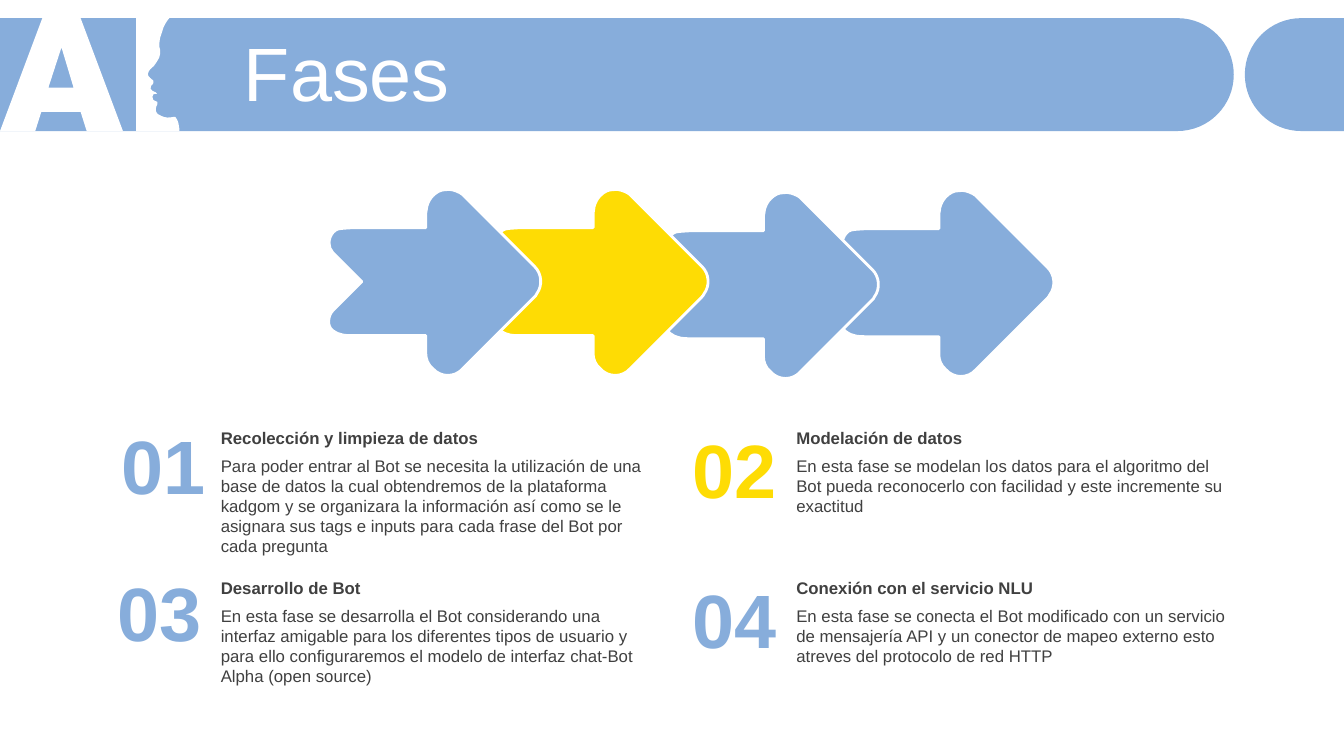
from math import cos, pi, sin

from lxml.etree import SubElement
from pptx import Presentation
from pptx.dml.color import RGBColor
from pptx.enum.text import MSO_ANCHOR, MSO_AUTO_SIZE, PP_ALIGN
from pptx.oxml.ns import qn
from pptx.util import Inches, Pt

BLUE, YELLOW, WHITE, GREY = "87ADDB", "FEDC04", "FFFFFF", "404040"


def draw_outline(contours, fill):
    """Draw closed contours: pairs are corners, sixes are Bezier curves."""
    builder = None
    for contour in contours:
        points = [(Inches(step[n]), Inches(step[n + 1]))
                  for step in contour for n in range(0, len(step), 2)]
        if builder is None:
            builder = page.shapes.build_freeform(*points[0])
        else:
            builder.move_to(*points[0])
        builder.add_line_segments(points[1:], close=True)
    shape = builder.convert_to_shape()
    # Join each run of three curve points into one Bezier segment
    segments = iter(list(shape._element.iter(qn("a:lnTo"))))
    for step in [step for contour in contours for step in contour[1:]]:
        first = next(segments)
        if len(step) == 6:
            curve = SubElement(first.getparent(), qn("a:cubicBezTo"))
            first.addprevious(curve)
            for segment in (first, next(segments), next(segments)):
                curve.append(segment[0])
                segment.getparent().remove(segment)
    shape.shadow.inherit = False
    shape.fill.solid()
    shape.fill.fore_color.rgb = RGBColor.from_string(fill)
    shape.line.fill.background()
    return shape


def write(box, text, size, color, bold=False, align=PP_ALIGN.LEFT,
          anchor=MSO_ANCHOR.MIDDLE, margins=(0, 0.05, 0.1, 0.05)):
    frame = box.text_frame
    frame.word_wrap = True
    frame.auto_size = MSO_AUTO_SIZE.NONE
    frame.vertical_anchor = anchor
    frame.margin_left, frame.margin_top, frame.margin_right, frame.margin_bottom = map(Inches, margins)
    para = frame.paragraphs[0]
    para.alignment = align
    span = para.add_run()
    span.text = text
    span.font.name = "Arial"
    span.font.size = Pt(size)
    span.font.bold = bold
    span.font.color.rgb = RGBColor.from_string(color)
    return para


deck = Presentation()
deck.slide_width, deck.slide_height = Inches(40 / 3), Inches(7.5)
page = deck.slides.add_slide(deck.slide_layouts[5])

# Header band
draw_outline([[(0, 0.18), (11.68, 0.18), (11.99, 0.18, 12.24, 0.43, 12.24, 0.74),
               (12.24, 1.05, 11.99, 1.3, 11.68, 1.3), (0, 1.3)]], BLUE)

# Letter A with its counter, and a profile in place of the I
letter = [(0.42, 0.18), (0.8, 0.18), (1.22, 1.3), (0.86, 1.3), (0.8, 1.11),
          (0.41, 1.11), (0.35, 1.3), (0, 1.3)]
counter = [(0.61, 0.47), (0.48, 0.87), (0.73, 0.87)]
profile = [
    (1.35, 0.18), (1.68, 0.18), (1.66, 0.2, 1.62, 0.26, 1.61, 0.31), (1.59, 0.37),
    (1.58, 0.42, 1.58, 0.45, 1.58, 0.46), (1.59, 0.48, 1.59, 0.51, 1.59, 0.53), (1.58, 0.57),
    (1.57, 0.59, 1.53, 0.66, 1.51, 0.67), (1.48, 0.69, 1.46, 0.73, 1.47, 0.75),
    (1.48, 0.77, 1.5, 0.78, 1.51, 0.79), (1.52, 0.79, 1.53, 0.81, 1.52, 0.83),
    (1.52, 0.84, 1.5, 0.84, 1.5, 0.85), (1.49, 0.87, 1.49, 0.89, 1.51, 0.9),
    (1.53, 0.91, 1.56, 0.92, 1.56, 0.93), (1.56, 0.93, 1.52, 0.93, 1.52, 0.94),
    (1.51, 0.95, 1.51, 0.97, 1.52, 0.99), (1.52, 1, 1.55, 1, 1.56, 1.01),
    (1.57, 1.03, 1.56, 1.03, 1.55, 1.06), (1.54, 1.09, 1.54, 1.13, 1.6, 1.15),
    (1.64, 1.17, 1.68, 1.17, 1.72, 1.16), (1.74, 1.16),
    (1.76, 1.18, 1.76, 1.2, 1.77, 1.22), (1.77, 1.24, 1.78, 1.26, 1.78, 1.28),
    (1.78, 1.3), (1.35, 1.3)]
draw_outline([letter, counter, profile], WHITE)

# Rounded end at the right edge
draw_outline([[(12.91, 0.18), (40 / 3, 0.18), (40 / 3, 1.3), (12.91, 1.3),
               (12.6, 1.3, 12.35, 1.05, 12.35, 0.74),
               (12.35, 0.43, 12.6, 0.18, 12.91, 0.18)]], BLUE)

# Arrow outline pointing right, turned back by 45 degrees around its centre
arrow = [
    (4.42, 1.88), (4.47, 1.87, 4.52, 1.89, 4.56, 1.91), (4.58, 1.92, 4.59, 1.93, 4.6, 1.94),
    (5.31, 2.65), (5.38, 2.72, 5.39, 2.84, 5.33, 2.92), (5.33, 2.93, 5.31, 2.95, 5.3, 2.96),
    (4.59, 3.67), (4.51, 3.76, 4.37, 3.76, 4.29, 3.67), (4.24, 3.63, 4.22, 3.57, 4.22, 3.52),
    (4.22, 3.34), (3.49, 3.34), (3.42, 3.34, 3.36, 3.34, 3.29, 3.29),
    (3.23, 3.25, 3.24, 3.14, 3.29, 3.09), (3.58, 2.8), (3.29, 2.51),
    (3.24, 2.46, 3.24, 2.37, 3.29, 2.31), (3.33, 2.27, 3.32, 2.27, 3.49, 2.26),
    (4.22, 2.26), (4.22, 2.11), (4.22, 2.09, 4.23, 2.08, 4.23, 2.05),
    (4.24, 2.01, 4.26, 1.97, 4.29, 1.94), (4.33, 1.9, 4.37, 1.88, 4.42, 1.88)]
center_x, center_y = 4.13, 2.8
turned = []
for step in arrow:
    turned_step = []
    for x, y in zip(step[::2], step[1::2]):
        x, y = x - center_x, y - center_y
        turned_step += [center_x + x * cos(pi / 4) + y * sin(pi / 4),
                        center_y - x * sin(pi / 4) + y * cos(pi / 4)]
    turned.append(turned_step)

# Chain of arrows, the last one at the back
for left, top, color in [(8.28, 1.87, BLUE), (6.54, 1.89, BLUE),
                         (4.85, 1.86, YELLOW), (3.19, 1.86, BLUE)]:
    link = draw_outline([turned], color)
    link.left, link.top = Inches(left), Inches(top)
    link.width = link.height = Inches(1.88)
    link.rotation = 45
    link.line.color.rgb = RGBColor.from_string(WHITE)
    link.line.width = Pt(2)

# Title, brought in front of the band
title = page.shapes.title
title.left, title.top, title.width, title.height = map(Inches, (2.32, 0.37, 10.69, 0.79))
heading = write(title, "Fases", 54, WHITE, margins=(0.1, 0.05, 0.1, 0.05))
heading.line_spacing = 0.9
heading.space_before = Pt(10)
title._element.getparent().append(title._element)

# Phases: number, its place and colour, text place, heading, description, its height
phases = [
    ("01", 1.1, 4.15, BLUE, 2.19, 4.19, "Recolección y limpieza de datos",
     "Para poder entrar al Bot se necesita la utilización de una base de datos la cual "
     "obtendremos de la plataforma kadgom y se organizara la información así como se le "
     "asignara sus tags e inputs para cada frase del Bot por cada pregunta", 1.11),
    ("03", 1.06, 5.61, BLUE, 2.19, 5.68, "Desarrollo de Bot",
     "En esta fase se desarrolla el Bot considerando una interfaz amigable para los "
     "diferentes tipos de usuario y para ello configuraremos el modelo de interfaz "
     "chat-Bot Alpha (open source)", 0.91),
    ("02", 6.76, 4.19, YELLOW, 7.9, 4.19, "Modelación de datos",
     "En esta fase se modelan los datos para el algoritmo del Bot pueda reconocerlo con "
     "facilidad y este incremente su exactitud", 0.71),
    ("04", 6.76, 5.68, BLUE, 7.9, 5.68, "Conexión con el servicio NLU",
     "En esta fase se conecta el Bot modificado con un servicio de mensajería API y un "
     "conector de mapeo externo esto atreves del protocolo de red HTTP", 0.71),
]
for number, number_x, number_y, color, x, y, name, description, height in phases:
    group = page.shapes.add_group_shape()
    box = group.shapes.add_textbox(Inches(x), Inches(y), Inches(4.45), Inches(0.3))
    write(box, name, 12, GREY, bold=True)
    box = group.shapes.add_textbox(Inches(x), Inches(y + 0.28), Inches(4.45), Inches(height))
    write(box, description, 12, GREY, anchor=MSO_ANCHOR.TOP)
    box = page.shapes.add_textbox(Inches(number_x), Inches(number_y), Inches(0.94), Inches(0.91))
    write(box, number, 54, color, bold=True, align=PP_ALIGN.RIGHT, margins=(0, 0, 0, 0))

deck.save("out.pptx")
